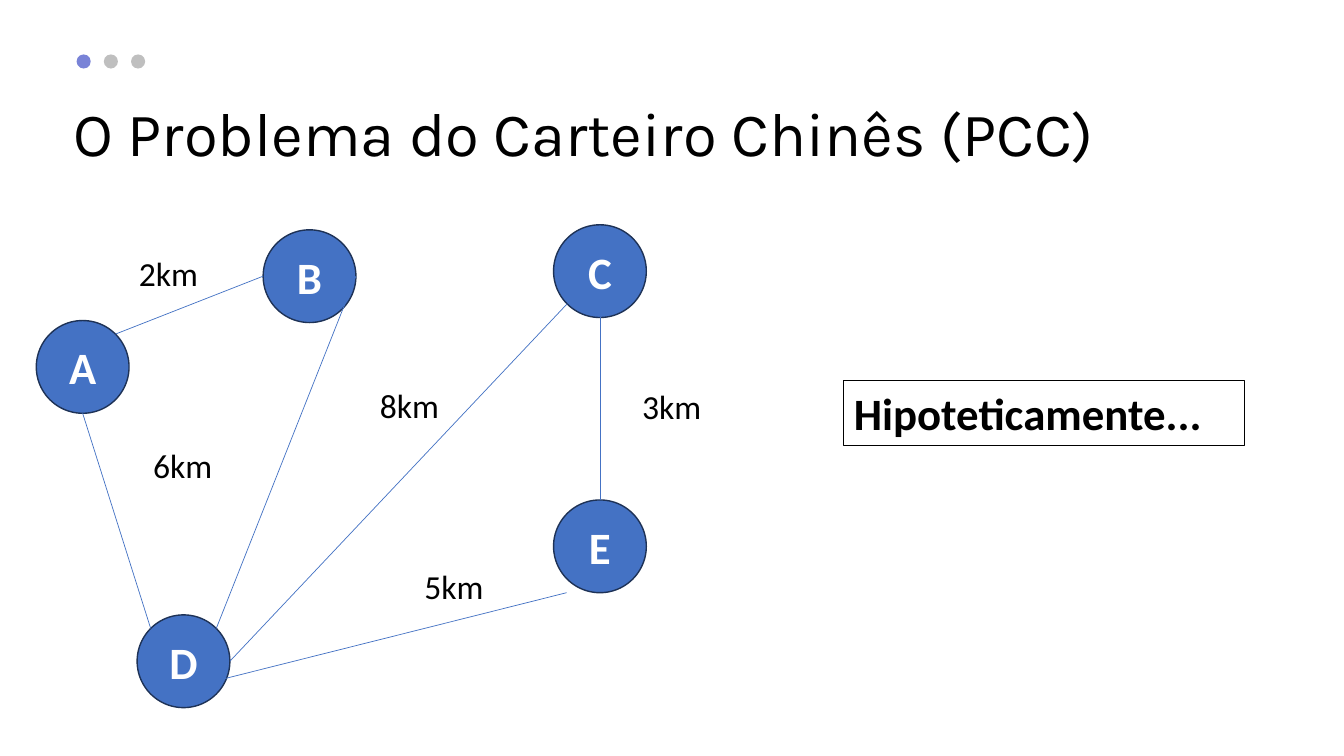
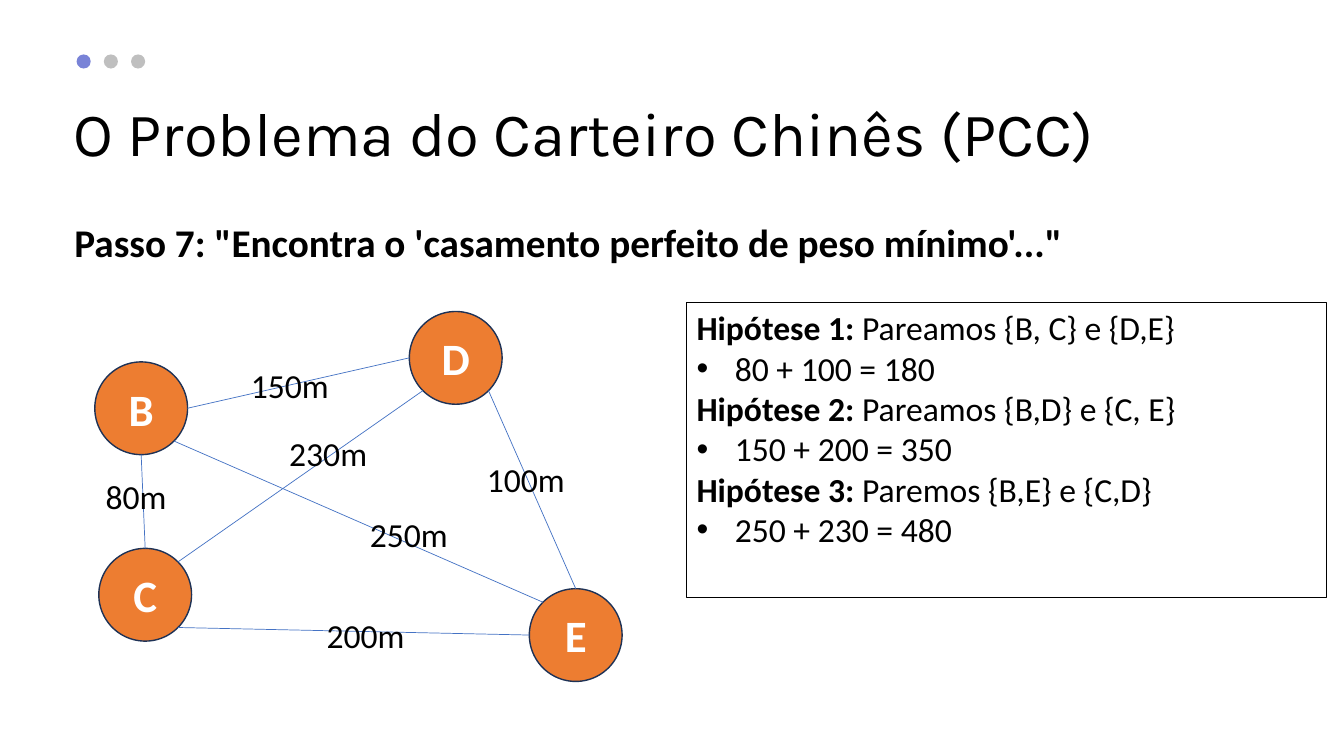
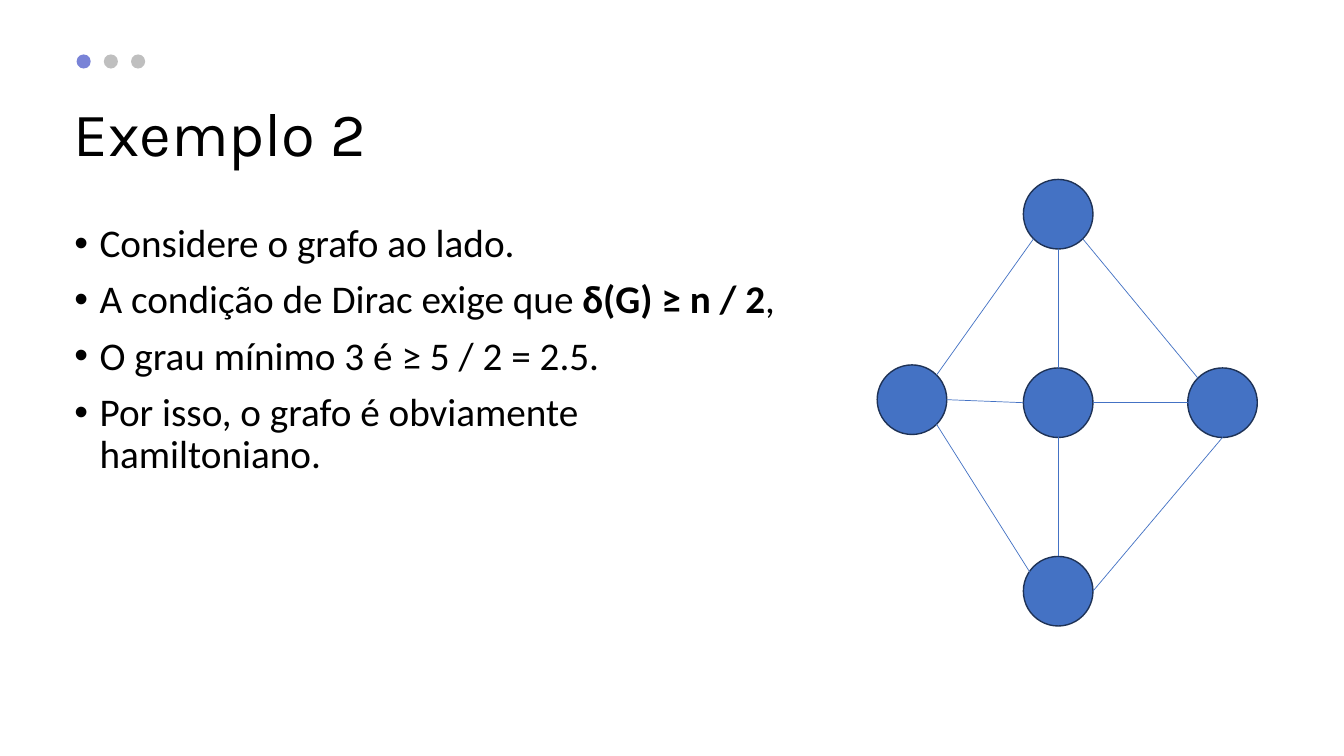
from math import sqrt

from lxml.etree import SubElement as Sub
from pptx import Presentation
from pptx.dml.color import RGBColor as Rgb
from pptx.enum.shapes import MSO_CONNECTOR as Conn, MSO_SHAPE as Kind
from pptx.enum.text import MSO_ANCHOR as Anchor, PP_ALIGN as Align
from pptx.oxml.ns import qn
from pptx.util import Inches, Pt

HUES = {
    "ink": "000000", "paper": "FFFFFF", "blue": "4472C4", "orange": "ED7D31",
    "rim": "1E3256", "lilac": "7983D7", "grey": "BFBFBF",
}
HEAD, BODY = "Karla", "Calibri"
PCC = "O Problema do Carteiro Chinês (PCC)"

# Points on a circle, in radii from its centre
DIAG = sqrt(0.5)
SITES = {
    "t": (0, -1), "b": (0, 1), "l": (-1, 0), "r": (1, 0),
    "tl": (-DIAG, -DIAG), "tr": (DIAG, -DIAG),
    "bl": (-DIAG, DIAG), "br": (DIAG, DIAG),
}


def hue(name):
    return Rgb.from_string(HUES[name])


def write(shape, text, size=24, font=BODY, color="ink", bold=False, align=Align.LEFT,
          anchor=Anchor.TOP, wrap=True, lead=None, gap=0, indent=0.25):
    """Fill a shape; *stars* mark bold parts and a leading • marks a bullet."""
    frame = shape.text_frame
    frame.word_wrap, frame.vertical_anchor = wrap, anchor
    for i, line in enumerate(text.split("\n")):
        para = frame.add_paragraph() if i else frame.paragraphs[0]
        if line.startswith("•"):
            line = line[1:]
            props = para._p.get_or_add_pPr()
            props.set("marL", str(Inches(indent)))
            props.set("indent", str(-Inches(indent)))
            Sub(props, qn("a:buFont")).set("typeface", "Arial")
            Sub(props, qn("a:buChar")).set("char", "•")
        para.alignment = align
        if lead:
            para.line_spacing = lead
        if i and gap:
            para.space_before = Pt(gap)
        for k, part in enumerate(line.split("*")):
            if part:
                run = para.add_run()
                run.text = part
                run.font.name, run.font.size = font, Pt(size)
                run.font.bold = bold or k % 2 == 1
                run.font.color.rgb = hue(color)


def label(slide, box, text, **fmt):
    write(slide.shapes.add_textbox(*map(Inches, box)), text, **fmt)


def form(slide, kind, box, fill=None, line=None, width=1):
    shape = slide.shapes.add_shape(kind, *map(Inches, box))
    shape.shadow.inherit = False
    if fill:
        shape.fill.solid()
        shape.fill.fore_color.rgb = hue(fill)
    else:
        shape.fill.background()
    if line:
        shape.line.color.rgb, shape.line.width = hue(line), Pt(width)
    else:
        shape.line.fill.background()
    return shape


def link(slide, start, end):
    line = slide.shapes.add_connector(Conn.STRAIGHT, *map(Inches, (*start, *end)))
    line.line.color.rgb, line.line.width = hue("blue"), Pt(0.5)
    Sub(line._element.spPr, qn("a:effectLst"))


def page(deck, title):
    """Blank slide with the three dots and the title."""
    slide = deck.slides.add_slide(deck.slide_layouts[6])
    for i, color in enumerate(("lilac", "grey", "grey")):
        form(slide, Kind.OVAL, (0.76 + 0.27 * i, 0.54, 0.14, 0.14), color)
    label(slide, (0.63, 0.63, 11.5, 1.45), title, size=44, font=HEAD,
          anchor=Anchor.MIDDLE, lead=0.9)
    return slide


def graph(slide, left, top, size, nodes, edges, tags=(), color="blue", named=True):
    """Nodes, edges and tags, placed from the graph's top left corner."""
    def spot(end):
        if isinstance(end, str):
            name, site = end.split()
            end = [at + size / 2 * (1 + way) for at, way in zip(nodes[name], SITES[site])]
        return left + end[0], top + end[1]

    for name, (x, y) in nodes.items():
        disc = form(slide, Kind.OVAL, (left + x, top + y, size, size), color, "rim")
        if named:
            write(disc, name, size=32, color="paper", bold=True,
                  align=Align.CENTER, anchor=Anchor.MIDDLE)
    for start, end in edges:
        link(slide, spot(start), spot(end))
    for text, x, y in tags:
        wide = 0.31 + 0.17 * len(text) if text.endswith("0m") else 0.79
        label(slide, (left + x, top + y, wide, 0.5), text, wrap=False)


def note(slide, box, text, fill=None, **fmt):
    write(form(slide, Kind.RECTANGLE, box, fill, "ink", 0.75), text, **fmt)


def roads(deck):
    slide = page(deck, PCC)
    graph(
        slide, 0.36, 2.23, 0.92,
        {"A": (0, 0.95), "B": (2.25, 0.05), "C": (5.13, 0), "D": (1, 3.87), "E": (5.13, 2.73)},
        [("A tr", "B l"), ("D tr", "B r"), ("D tl", "A b"), ("E t", "C b"),
         ("D r", "C bl"), ((1.72, 4.54), (5.26, 3.65))],
        [("2km", 0.92, 0.23), ("3km", 5.91, 1.55), ("6km", 1.06, 2.13),
         ("5km", 3.75, 3.34), ("8km", 3.31, 1.54)],
    )
    note(slide, (8.37, 3.78, 3.97, 0.64), "Hipoteticamente...", "paper", size=32, bold=True)


def pairs(deck):
    slide = page(deck, PCC)
    label(slide, (0.64, 2.17, 11.3, 0.6),
          "Passo 7: \"Encontra o 'casamento perfeito de peso mínimo'...\"",
          size=28, bold=True, lead=0.9)
    graph(
        slide, 0.94, 3.09, 0.92,
        {"B": (0, 0.5), "C": (0.04, 2.35), "D": (3.12, 0), "E": (4.31, 2.75)},
        [("B br", "E tl"), ("C t", "B b"), ("D l", "B r"), ("C br", "E l"),
         ("E t", "D br"), ("C tr", "D bl")],
        [("80m", 0.01, 1.58), ("250m", 2.63, 1.96), ("200m", 2.2, 2.96),
         ("100m", 3.79, 1.41), ("150m", 1.45, 0.48), ("230m", 1.83, 1.16)],
        color="orange",
    )
    note(slide, (6.81, 3, 6.35, 2.93),
         "*Hipótese 1:* Pareamos {B, C} e {D,E}\n•80 + 100 = 180\n"
         "*Hipótese 2:* Pareamos {B,D} e {C, E}\n•150 + 200 = 350\n"
         "*Hipótese 3:* Paremos {B,E} e {C,D}\n•250 + 230 = 480", indent=0.38)


def dirac(deck):
    slide = page(deck, "Exemplo 2")
    label(slide, (0.64, 2.17, 7.23, 4.58),
          "•Considere o grafo ao lado.\n"
          "•A condição de Dirac exige que *δ(G) ≥ n / 2*,\n"
          "•O grau mínimo 3 é ≥ 5 / 2 = 2.5.\n"
          "•Por isso, o grafo é obviamente hamiltoniano.",
          size=28, lead=0.9, gap=10)
    graph(
        slide, 8.7, 1.78, 0.69,
        {"top": (1.45, 0), "low": (1.45, 3.74), "east": (3.08, 1.87),
         "west": (0, 1.84), "mid": (1.45, 1.87)},
        [("top b", "mid t"), ("east l", "mid r"), ("west r", "mid l"), ("mid b", "low t"),
         ("east b", "low r"), ("top br", "east tl"), ("top bl", "west tr"),
         ("west br", (1.63, 4.08))],
        named=False,
    )


def main():
    deck = Presentation()
    deck.slide_width, deck.slide_height = Inches(13.33), Inches(7.5)
    for build in (roads, pairs, dirac):
        build(deck)
    deck.save("out.pptx")


if __name__ == "__main__":
    main()
